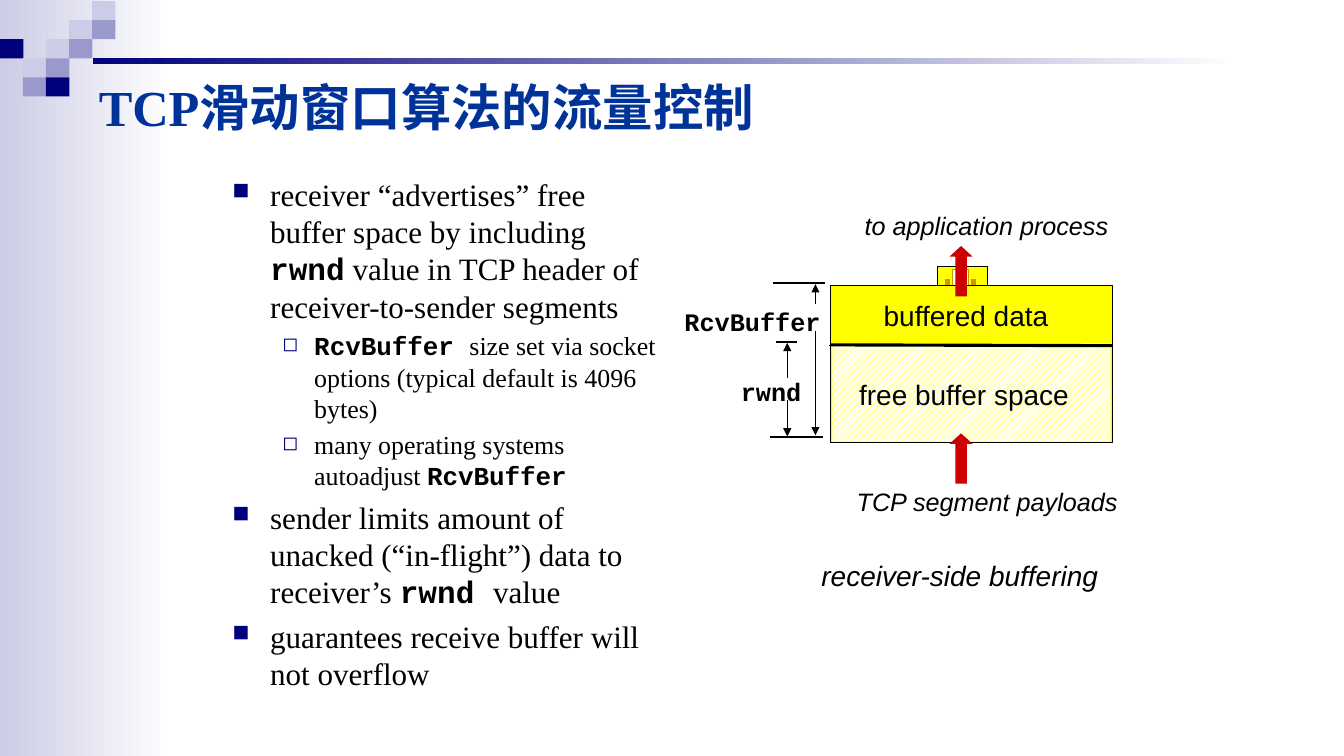
from dataclasses import dataclass

from lxml.etree import SubElement
from pptx import Presentation
from pptx.dml.color import RGBColor
from pptx.enum.dml import MSO_PATTERN
from pptx.enum.shapes import MSO_CONNECTOR, MSO_SHAPE
from pptx.enum.text import MSO_ANCHOR, MSO_AUTO_SIZE, PP_ALIGN
from pptx.oxml.ns import qn
from pptx.util import Cm, Pt


@dataclass(frozen=True)
class Theme:
    """Colours, fonts and type sizes of the slide."""
    navy: str = "00007D"
    violet: str = "9999CC"
    lavender: str = "CCCCE6"
    heading: str = "003399"
    white: str = "FFFFFF"
    black: str = "000000"
    yellow: str = "FFFF00"
    ochre: str = "CC9900"
    red: str = "CC0000"
    serif: str = "Times New Roman"
    sans: str = "Arial"
    mono: str = "Courier New"
    title_size: float = 36
    body_size: float = 22.2
    detail_size: float = 18.5
    label_size: float = 20
    caption_size: float = 18


class SlideBuilder:
    """Draws styled elements on one slide, with lengths in centimetres."""

    def __init__(self, slide, theme):
        """Keep the current slide and its theme."""
        self.shapes = slide.shapes
        self.theme = theme

    def shape(self, place, colour, outline=None, kind=MSO_SHAPE.RECTANGLE):
        """Add a filled preset shape with an optional thin outline."""
        shape = self.shapes.add_shape(kind, *map(Cm, place))
        shape.shadow.inherit = False
        shape.fill.solid()
        shape.fill.fore_color.rgb = RGBColor.from_string(colour)
        if outline:
            shape.line.color.rgb = RGBColor.from_string(outline)
            shape.line.width = Pt(0.75)
        else:
            shape.line.fill.background()
        return shape

    def fade(self, place, colour):
        """Add a rectangle fading from a colour to white, left to right."""
        fill = self.shape(place, colour).fill
        fill.gradient()
        fill.gradient_angle = 0
        for stop, shade in zip(fill.gradient_stops, (colour, self.theme.white)):
            stop.color.rgb = RGBColor.from_string(shade)

    def hatch(self, place, colour):
        """Add a diagonally hatched rectangle."""
        fill = self.shape(place, colour).fill
        fill.patterned()
        fill.pattern = MSO_PATTERN.DARK_UPWARD_DIAGONAL
        fill.fore_color.rgb = RGBColor.from_string(colour)
        fill.back_color.rgb = RGBColor.from_string(self.theme.white)

    def flow_arrow(self, place):
        """Add a red block arrow pointing up."""
        arrow = self.shape(place, self.theme.red, kind=MSO_SHAPE.UP_ARROW)
        arrow.adjustments[0] = 0.5
        arrow.adjustments[1] = 0.46

    def line(self, ends, width=0.75, arrow=False):
        """Add a straight black line, with an arrowhead at its end if asked."""
        line = self.shapes.add_connector(MSO_CONNECTOR.STRAIGHT, *map(Cm, ends))
        line.line.color.rgb = RGBColor.from_string(self.theme.black)
        line.line.width = Pt(width)
        if arrow:
            SubElement(line.line._get_or_add_ln(), qn("a:tailEnd"), type="triangle")
        SubElement(line._element.spPr, qn("a:effectLst"))

    def span(self, para, text, font, size, colour, bold=False, italic=False):
        """Append one styled run to a paragraph."""
        span = para.add_run()
        span.text = text
        span.font.name = font
        span.font.size = Pt(size)
        span.font.color.rgb = RGBColor.from_string(colour)
        span.font.bold = bold
        span.font.italic = italic

    def label(self, place, text, font, size, align=PP_ALIGN.LEFT, **style):
        """Add a one-line label whose box fits its text."""
        frame = self.shapes.add_textbox(*map(Cm, place)).text_frame
        frame.word_wrap = False
        frame.auto_size = MSO_AUTO_SIZE.SHAPE_TO_FIT_TEXT
        para = frame.paragraphs[0]
        para.alignment = align
        self.span(para, text, font, size, self.theme.black, **style)

    def title(self, place, text):
        """Add the slide title."""
        frame = self.shapes.add_textbox(*map(Cm, place)).text_frame
        frame.word_wrap = True
        frame.vertical_anchor = MSO_ANCHOR.MIDDLE
        theme = self.theme
        self.span(frame.paragraphs[0], text, theme.serif, theme.title_size,
                  theme.heading, bold=True)

    def bullets(self, place, items):
        """Add a two-level list of (level, spans), each span being (text, is code)."""
        theme = self.theme
        levels = (("■", 0.95, 0.95, theme.body_size, 5),
                  ("◻", 2.06, 0.8, theme.detail_size, 4))
        frame = self.shapes.add_textbox(*map(Cm, place)).text_frame
        frame.word_wrap = True
        for index, (level, spans) in enumerate(items):
            mark, margin, hang, size, gap = levels[level]
            para = frame.add_paragraph() if index else frame.paragraphs[0]
            para.level = level
            para.space_before = Pt(gap)
            properties = para._p.get_or_add_pPr()
            properties.set("marL", str(Cm(margin)))
            properties.set("indent", str(-Cm(hang)))
            colour = SubElement(properties, qn("a:buClr"))
            SubElement(colour, qn("a:srgbClr"), val=theme.navy)
            SubElement(properties, qn("a:buSzPct"), val="75000")
            SubElement(properties, qn("a:buChar"), char=mark)
            for text, code in spans:
                font = theme.mono if code else theme.serif
                self.span(para, text, font, size, theme.black, bold=code)


BULLETS = (
    (0, (("receiver “advertises” free buffer space by including ", False),
         ("rwnd", True),
         (" value in TCP header of receiver-to-sender segments", False))),
    (1, (("RcvBuffer ", True),
         ("size set via socket options (typical default is 4096 bytes)", False))),
    (1, (("many operating systems autoadjust ", False), ("RcvBuffer", True))),
    (0, (("sender limits amount of unacked (“in-flight”) data to receiver’s ", False),
         ("rwnd ", True), ("value", False))),
    (0, (("guarantees receive buffer will not overflow", False),)),
)
MOSAIC = ("....l", "...lm", "d.lm.", ".lm..", ".md..")


def draw_backdrop(page, theme):
    """Draw the side fade, the corner mosaic and the title rule."""
    page.fade((0, 0, 4.39, 19.05), theme.lavender)
    shades = {"l": theme.lavender, "m": theme.violet, "d": theme.navy}
    for row, cells in enumerate(MOSAIC):
        for column, cell in enumerate(cells):
            if cell in shades:
                place = (0.58 * column, 0.03 + 0.48 * row, 0.59, 0.48)
                page.shape(place, shades[cell])
    page.fade((2.34, 1.47, 28.88, 0.15), theme.navy)


def draw_buffer(page, theme):
    """Draw the receive buffer with its dimensions and labels."""
    page.shape((23.62, 6.71, 1.27, 0.58), theme.yellow, theme.black)
    page.shape((24, 6.78, 0.41, 0.43), theme.white, theme.ochre)
    for left in (24.49, 23.83):
        page.shape((left, 7.04, 0.1, 0.15), theme.ochre, theme.ochre)
    page.shape((20.94, 7.2, 7.09, 3.95), theme.yellow, theme.black)
    page.line((20.88, 8.71, 28.04, 8.71))
    page.hatch((20.98, 8.66, 7.01, 2.47), theme.yellow)
    for top in (6.2, 10.92):
        page.flow_arrow((23.93, top, 0.58, 1.27))
    page.line((20.93, 8.69, 28.04, 8.71), 2.25)
    for left, right, height in ((19.41, 20.73, 11.02), (19.56, 20.09, 8.61),
                                (19.48, 20.8, 7.14)):
        page.line((left, height, right, height), 1.5)
    for across, start, end in ((19.84, 9.53, 8.64), (19.84, 10.08, 11),
                               (20.55, 7.65, 7.16), (20.55, 8.33, 10.97)):
        page.line((across, start, across, end), arrow=True)

    sans, mono = theme.sans, theme.mono
    large, small = theme.label_size, theme.caption_size
    page.label((22.02, 7.39, 4.75, 1.09), "buffered data", sans, large)
    page.label((21.4, 9.4, 5.95, 1.09), "free buffer space", sans, large)
    page.label((18.42, 9.37, 2.06, 1.02), "rwnd", mono, small, bold=True)
    page.label((16.97, 7.59, 3.96, 1.02), "RcvBuffer", mono, small,
               PP_ALIGN.RIGHT, bold=True)
    page.label((21.34, 12.12, 7.16, 1.02), "TCP segment payloads", sans, small, italic=True)
    page.label((21.54, 5.18, 6.71, 1.02), "to application process", sans, small, italic=True)
    page.label((20.45, 13.94, 7.6, 1.09), "receiver-side buffering", sans, large, italic=True)


def main():
    """Build the slide and save it."""
    deck = Presentation()
    deck.slide_width, deck.slide_height = Cm(33.87), Cm(19.05)
    theme = Theme()
    page = SlideBuilder(deck.slides.add_slide(deck.slide_layouts[6]), theme)
    draw_backdrop(page, theme)
    page.title((2.24, 1.65, 21.59, 2.06), "TCP滑动窗口算法的流量控制")
    draw_buffer(page, theme)
    page.bullets((5.61, 4.29, 11.25, 13.64), BULLETS)
    deck.save("out.pptx")


if __name__ == "__main__":
    main()
